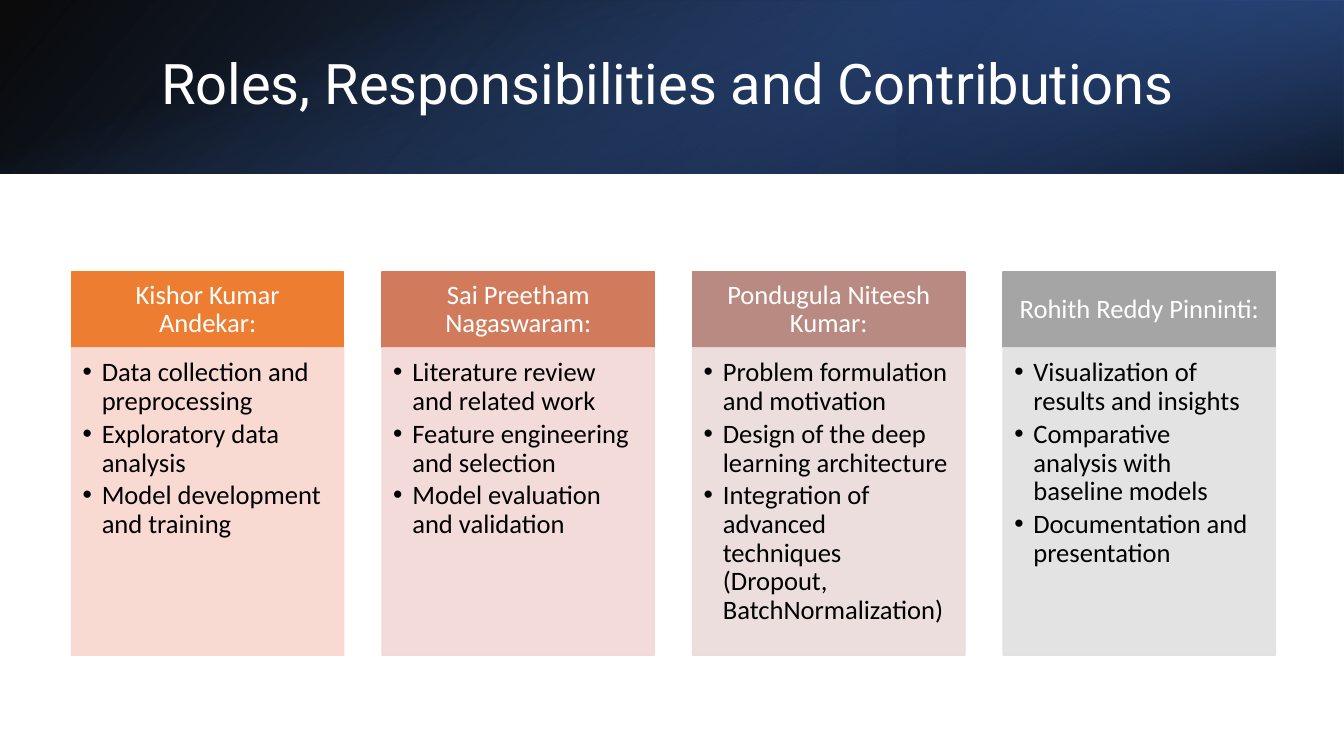
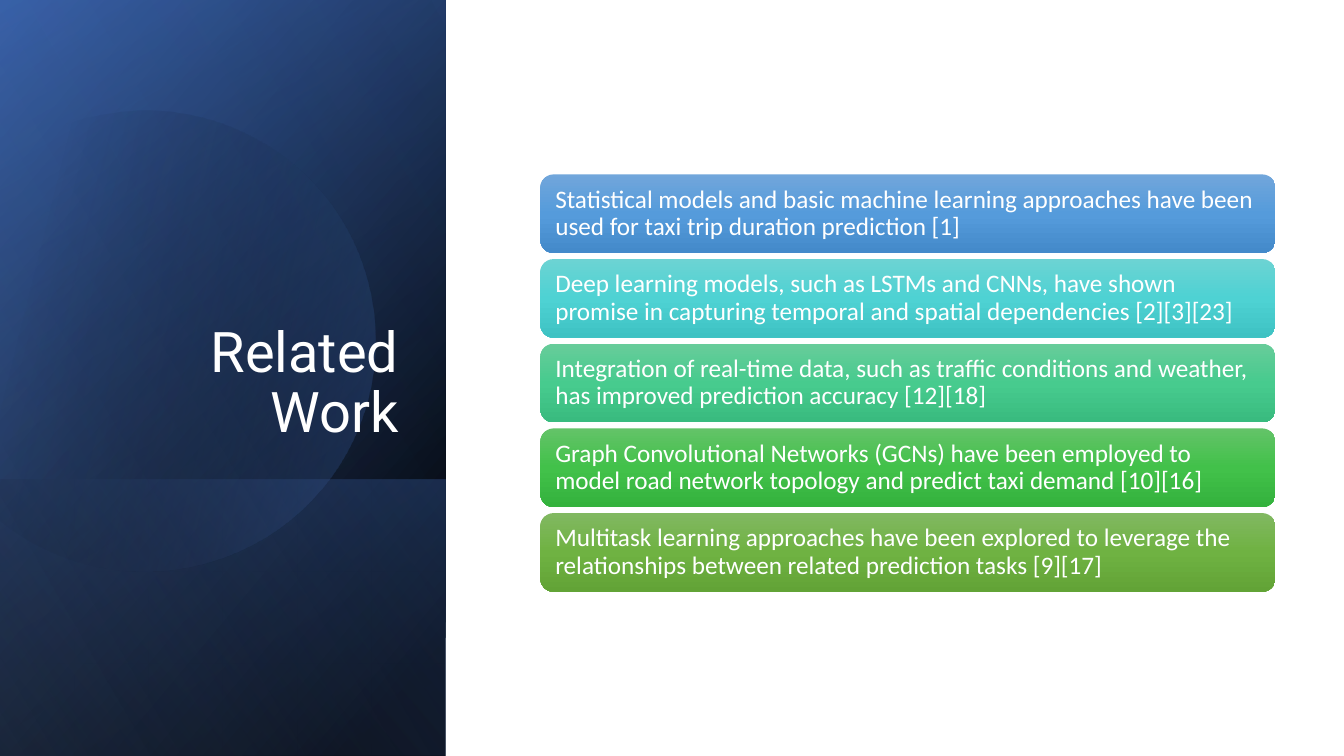
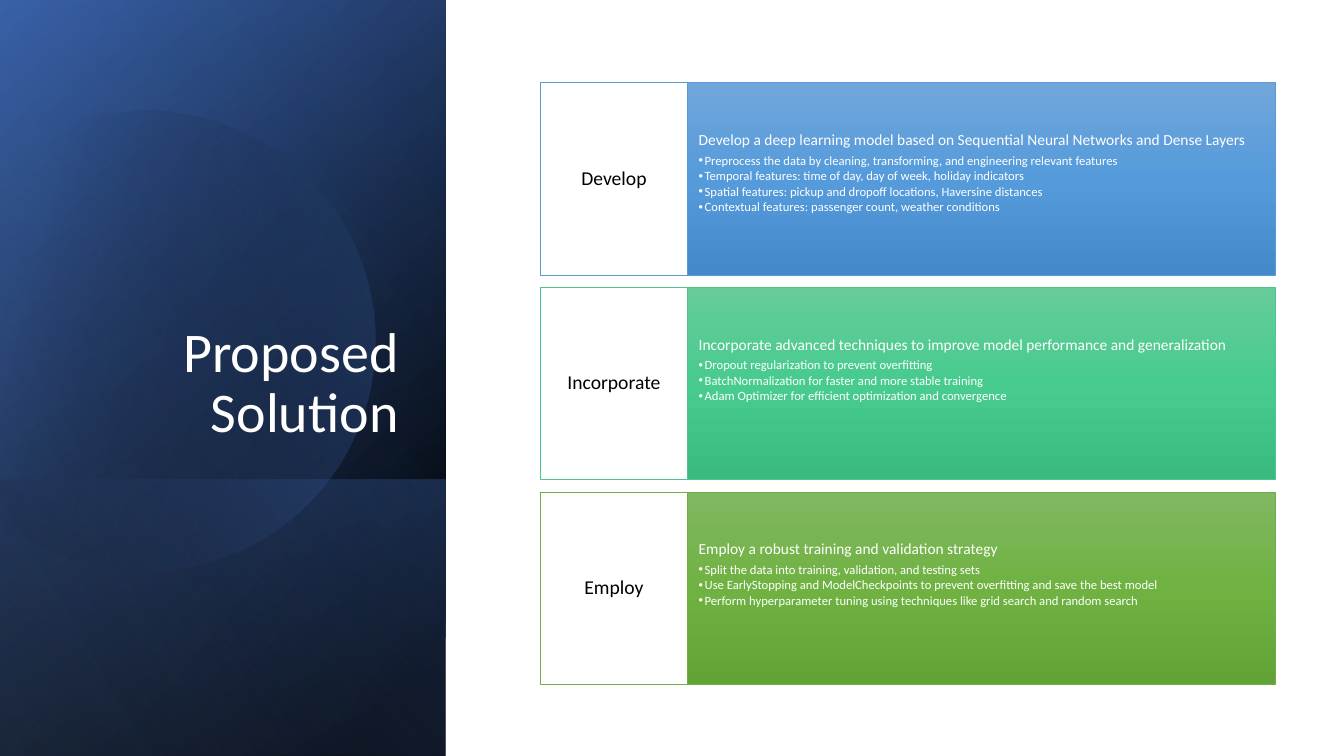
"""Build three slides on a taxi trip project: roles, related work and proposed solution."""
import math

from lxml import etree
from pptx import Presentation
from pptx.dml.color import RGBColor
from pptx.enum import shapes, text
from pptx.oxml.ns import qn
from pptx.util import Inches, Pt

WHITE = RGBColor(0xFF, 0xFF, 0xFF)
BLACK = RGBColor(0x00, 0x00, 0x00)
BLUE = RGBColor(0x44, 0x72, 0xC4)
DEEP_BLUE = RGBColor(0x2F, 0x55, 0x97)
NAVY = RGBColor(0x20, 0x38, 0x64)
PALE_BLUE = RGBColor(0x8F, 0xAA, 0xDC)

ORANGE = RGBColor(0xED, 0x7D, 0x31)
CLAY = RGBColor(0xD1, 0x7B, 0x5C)
ROSE = RGBColor(0xB9, 0x8A, 0x82)
GRAY = RGBColor(0xA5, 0xA5, 0xA5)
ORANGE_TINT = RGBColor(0xF8, 0xD7, 0xCE)
CLAY_TINT = RGBColor(0xF1, 0xD8, 0xD4)
ROSE_TINT = RGBColor(0xE9, 0xDB, 0xDA)
GRAY_TINT = RGBColor(0xE1, 0xE1, 0xE1)

SKY_LINE = RGBColor(0x5B, 0x9B, 0xD5)
MINT_LINE = RGBColor(0x4D, 0xC5, 0x8D)
LEAF_LINE = RGBColor(0x70, 0xAD, 0x47)
SKY = (RGBColor(0x71, 0xA6, 0xDB), RGBColor(0x55, 0x9B, 0xDB), RGBColor(0x44, 0x8A, 0xCA))
TEAL = (RGBColor(0x6C, 0xD3, 0xD3), RGBColor(0x4E, 0xD2, 0xD3), RGBColor(0x3E, 0xC2, 0xC3))
MINT = (RGBColor(0x67, 0xCC, 0x9A), RGBColor(0x47, 0xCB, 0x8E), RGBColor(0x39, 0xBB, 0x7F))
GREEN = (RGBColor(0x63, 0xC3, 0x68), RGBColor(0x42, 0xC1, 0x4A), RGBColor(0x34, 0xB2, 0x3D))
LEAF = (RGBColor(0x81, 0xB8, 0x61), RGBColor(0x6F, 0xB2, 0x42), RGBColor(0x62, 0xA3, 0x36))

RECT = shapes.MSO_SHAPE.RECTANGLE
ROUNDED = shapes.MSO_SHAPE.ROUNDED_RECTANGLE
TOP, MIDDLE, BOTTOM = text.MSO_ANCHOR.TOP, text.MSO_ANCHOR.MIDDLE, text.MSO_ANCHOR.BOTTOM
LEFT, CENTER, RIGHT = text.PP_ALIGN.LEFT, text.PP_ALIGN.CENTER, text.PP_ALIGN.RIGHT

ARC_START = (1.49, 1.1)
ARC_CURVES = [
    [(2.46, 1.12), (3.35, 1.77), (3.63, 2.75)],
    [(3.98, 3.97), (3.28, 5.23), (2.07, 5.58)],
    [(1.31, 5.8), (0.53, 5.61), (-0.03, 5.14)],
    [(-0.15, 5.03)],
    [(-0.15, 1.75)],
    [(0, 1.61)],
    [(0.23, 1.42), (0.5, 1.28), (0.8, 1.19)],
    [(1.03, 1.13), (1.26, 1.1), (1.49, 1.1)],
]
ARC_CENTER = (1.58, 3.34)
ARC_ROTATION = 343.9

ROLES = [
    ("Kishor Kumar Andekar:", ORANGE, ORANGE_TINT,
     ["Data collection and preprocessing", "Exploratory data analysis",
      "Model development and training"]),
    ("Sai Preetham Nagaswaram:", CLAY, CLAY_TINT,
     ["Literature review and related work", "Feature engineering and selection",
      "Model evaluation and validation"]),
    ("Pondugula Niteesh Kumar:", ROSE, ROSE_TINT,
     ["Problem formulation and motivation", "Design of the deep learning architecture",
      "Integration of advanced techniques (Dropout, BatchNormalization)"]),
    ("Rohith Reddy Pinninti:", GRAY, GRAY_TINT,
     ["Visualization of results and insights", "Comparative analysis with baseline models",
      "Documentation and presentation"]),
]

RELATED_WORK = [
    (SKY, "Statistical models and basic machine learning approaches have been used for "
          "taxi trip duration prediction [1]"),
    (TEAL, "Deep learning models, such as LSTMs and CNNs, have shown promise in capturing "
           "temporal and spatial dependencies [2][3][23]"),
    (MINT, "Integration of real-time data, such as traffic conditions and weather, has "
           "improved prediction accuracy [12][18]"),
    (GREEN, "Graph Convolutional Networks (GCNs) have been employed to model road network "
            "topology and predict taxi demand [10][16]"),
    (LEAF, "Multitask learning approaches have been explored to leverage the relationships "
           "between related prediction tasks [9][17]"),
]

SOLUTION = [
    ("Develop", SKY, SKY_LINE,
     "Develop a deep learning model based on Sequential Neural Networks and Dense Layers",
     ["Preprocess the data by cleaning, transforming, and engineering relevant features",
      "Temporal features: time of day, day of week, holiday indicators",
      "Spatial features: pickup and dropoff locations, Haversine distances",
      "Contextual features: passenger count, weather conditions"]),
    ("Incorporate", MINT, MINT_LINE,
     "Incorporate advanced techniques to improve model performance and generalization",
     ["Dropout regularization to prevent overfitting",
      "BatchNormalization for faster and more stable training",
      "Adam Optimizer for efficient optimization and convergence"]),
    ("Employ", LEAF, LEAF_LINE,
     "Employ a robust training and validation strategy",
     ["Split the data into training, validation, and testing sets",
      "Use EarlyStopping and ModelCheckpoints to prevent overfitting and save the best model",
      "Perform hyperparameter tuning using techniques like grid search and random search"]),
]


def bezier(start, c1, c2, end, steps=24):
    """Return points along a cubic curve, without its start."""
    points = []
    for i in range(1, steps + 1):
        t = i / steps
        weights = ((1 - t) ** 3, 3 * t * (1 - t) ** 2, 3 * t * t * (1 - t), t ** 3)
        points.append(tuple(sum(w * q[axis] for w, q in zip(weights, (start, c1, c2, end)))
                            for axis in (0, 1)))
    return points


def rotate(point, center, degrees):
    """Turn a point clockwise about a center."""
    a = math.radians(degrees)
    dx, dy = point[0] - center[0], point[1] - center[1]
    return (center[0] + dx * math.cos(a) - dy * math.sin(a),
            center[1] + dx * math.sin(a) + dy * math.cos(a))


class Deck:
    """Hold the presentation, its style and the current slide."""

    def __init__(self):
        """Start an empty widescreen deck."""
        self.prs = Presentation()
        self.prs.slide_width, self.prs.slide_height = Inches(13.33), Inches(7.5)
        self.s = None

    def slide(self):
        """Add a blank slide and make it current."""
        self.s = self.prs.slides.add_slide(self.prs.slide_layouts[6])

    def box(self, at, fill=None, line=None, width=1, kind=RECT):
        """Add a preset shape with a plain fill and outline."""
        sp = self.s.shapes.add_shape(kind, *map(Inches, at))
        sp.shadow.inherit = False
        if fill is not None:
            sp.fill.solid()
            sp.fill.fore_color.rgb = fill
        if line is None:
            sp.line.fill.background()
        else:
            sp.line.color.rgb = line
            sp.line.width = Pt(width)
        return sp

    def gradient(self, sp, stops, angle):
        """Fill with (position, colour, opacity) stops at a clockwise angle."""
        sp.fill.gradient()
        sp.fill.gradient_angle = (360 - angle) % 360
        gs_list = sp.element.spPr.find(".//" + qn("a:gsLst"))
        for gs in list(gs_list):
            gs_list.remove(gs)
        for position, color, opacity in stops:
            gs = etree.SubElement(gs_list, qn("a:gs"), pos=str(position * 1000))
            clr = etree.SubElement(gs, qn("a:srgbClr"), val=str(color))
            etree.SubElement(clr, qn("a:alpha"), val=str(opacity * 1000))

    def shade(self, sp, colors):
        """Fill from top to bottom with three colours."""
        self.gradient(sp, [(p, c, 100) for p, c in zip((0, 50, 100), colors)], 90)

    def opacity(self, sp, percent):
        """Make the solid fill and line of a shape translucent."""
        for clr in sp.element.spPr.iter(qn("a:srgbClr")):
            etree.SubElement(clr, qn("a:alpha"), val=str(percent * 1000))

    def layer(self, at, stops, angle, rotation=0, flip=True):
        """Add one translucent gradient layer of a band."""
        sp = self.box(at)
        sp.rotation = rotation
        if flip:
            sp.element.spPr.find(qn("a:xfrm")).set("flipH", "1")
        self.gradient(sp, stops, angle)

    def frame(self, sp, insets, anchor):
        """Set the margins and anchor of a shape's text."""
        tf = sp.text_frame
        tf.word_wrap = True
        tf.vertical_anchor = anchor
        tf.margin_left, tf.margin_top, tf.margin_right, tf.margin_bottom = map(Inches, insets)
        return tf

    def paragraph(self, tf, words, size, color, align=LEFT, after=0.35, font="Calibri",
                  indent=None, first=True):
        """Write a paragraph, bulleted when it has an indent."""
        p = tf.paragraphs[0] if first else tf.add_paragraph()
        p.text = words
        p.alignment = align
        p.line_spacing = 0.9
        p.space_after = Pt(round(size * after, 2))
        f = p.runs[0].font
        f.size, f.name, f.color.rgb = Pt(size), font, color
        if indent:
            p.level = 1
            pPr = p._p.get_or_add_pPr()
            pPr.set("marL", str(Inches(indent)))
            pPr.set("indent", str(-Inches(indent)))
            etree.SubElement(pPr, qn("a:buFont"), typeface="Arial")
            etree.SubElement(pPr, qn("a:buChar"), char="•")

    def title(self, words, at, align, anchor, font="Roboto"):
        """Add the white slide title."""
        sp = self.s.shapes.add_textbox(*map(Inches, at))
        tf = self.frame(sp, (0.1, 0.05, 0.1, 0.05), anchor)
        self.paragraph(tf, words, 40, WHITE, align, 0, font)

    def top_band(self):
        """Draw the dark band across the top."""
        self.layer((0, 0, 13.33, 1.72), [(0, BLACK, 96), (100, DEEP_BLUE, 100)], 140)
        self.layer((8.89, 0, 4.44, 1.72), [(19, NAVY, 68), (100, BLUE, 79)], 320, 180)
        self.layer((5.8, -5.8, 1.72, 13.33), [(23, BLUE, 0), (99, BLACK, 74)], 340, 90, False)

    def arc(self):
        """Draw the cut circle of the side band."""
        points = [ARC_START]
        for curve in ARC_CURVES:
            points += bezier(points[-1], *curve) if len(curve) == 3 else curve
        outline = [tuple(map(Inches, rotate(q, ARC_CENTER, 360 - ARC_ROTATION))) for q in points]
        builder = self.s.shapes.build_freeform(*outline[0])
        builder.add_line_segments(outline[1:], close=True)
        sp = builder.convert_to_shape()
        sp.shadow.inherit = False
        sp.line.fill.background()
        sp.rotation = ARC_ROTATION
        self.gradient(sp, [(29, BLACK, 0), (100, BLUE, 43)], 30)

    def side_band(self):
        """Draw the dark band down the left side."""
        full = (-1.54, 1.54, 7.5, 4.42)
        self.layer(full, [(8, BLACK, 100), (100, DEEP_BLUE, 100)], 50, 90)
        self.layer(full, [(0, BLACK, 0), (99, BLUE, 46)], 30, 90)
        self.layer((0.84, 3.92, 2.74, 4.42), [(2, BLUE, 29), (100, BLACK, 30)], 130, 90)
        self.arc()
        self.layer(full, [(0, BLACK, 0), (99, PALE_BLUE, 11)], 120, 90)

    def side_slide(self, words, font="Roboto"):
        """Start a slide with the side band and its title."""
        self.slide()
        self.side_band()
        self.title(words, (0.64, 1.84, 3.41, 2.62), RIGHT, BOTTOM, font)

    def role_card(self, left, name, color, tint, duties):
        """Add a name header over a list of duties."""
        header = self.box((left, 2.7, 2.7, 0.75), color, color)
        tf = self.frame(header, (0.15, 0.08, 0.15, 0.08), MIDDLE)
        self.paragraph(tf, name, 19, WHITE, CENTER)
        body = self.box((left, 3.45, 2.7, 3.05), tint, tint)
        self.opacity(body, 90)
        tf = self.frame(body, (0.11, 0.11, 0.15, 0.17), TOP)
        for i, duty in enumerate(duties):
            self.paragraph(tf, duty, 19, BLACK, after=0.15, indent=0.19, first=i == 0)

    def finding(self, top, colors, words):
        """Add a rounded bar with one finding."""
        sp = self.box((5.36, top, 7.29, 0.78), kind=ROUNDED)
        self.shade(sp, colors)
        tf = self.frame(sp, (0.11, 0.11, 0.11, 0.11), MIDDLE)
        self.paragraph(tf, words, 18, WHITE)

    def step(self, top, label, colors, line, heading, points):
        """Add a labelled step with its details."""
        detail = self.box((6.82, top, 5.83, 1.91), line=line, width=0.5)
        self.shade(detail, colors)
        tf = self.frame(detail, (0.11, 0.49, 0.11, 0.49), TOP)
        self.paragraph(tf, heading, 11, WHITE)
        for point in points:
            self.paragraph(tf, point, 9, WHITE, after=0.15, indent=0.06, first=False)
        tag = self.box((5.36, top, 1.46, 1.91), WHITE, line, 0.5)
        tf = self.frame(tag, (0.08, 0.19, 0.08, 0.19), MIDDLE)
        self.paragraph(tf, label, 14, BLACK, CENTER)


def main():
    """Build and save the deck."""
    deck = Deck()

    deck.slide()
    deck.top_band()
    deck.title("Roles, Responsibilities and Contributions", (1.5, 0.38, 10.98, 0.96), LEFT, MIDDLE)
    for i, role in enumerate(ROLES):
        deck.role_card(0.71 + 3.08 * i, *role)

    deck.side_slide("Related Work")
    for i, work in enumerate(RELATED_WORK):
        deck.finding(1.73 + 0.84 * i, *work)

    deck.side_slide("Proposed Solution", "Calibri")
    for i, part in enumerate(SOLUTION):
        deck.step(0.82 + 2.03 * i, *part)

    deck.prs.save("out.pptx")


if __name__ == "__main__":
    main()
